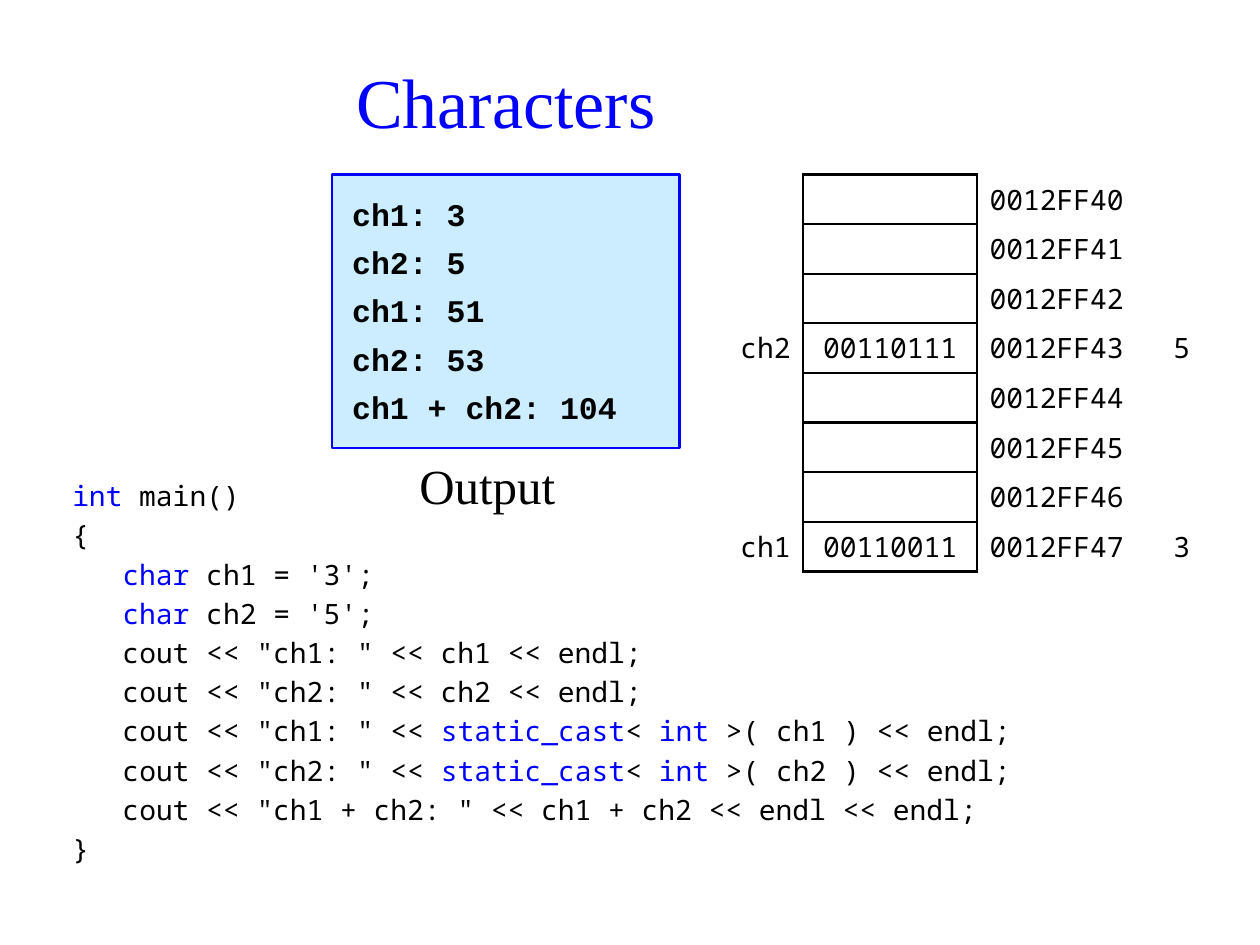
"""Build the slide on characters: program code, its output and the memory map."""
import dataclasses
import typing

import pptx
import pptx.dml.color
import pptx.enum.shapes
import pptx.enum.text
import pptx.oxml
import pptx.oxml.ns
import pptx.util

ALIGN = pptx.enum.text.PP_ALIGN
ANCHOR = pptx.enum.text.MSO_ANCHOR
Pt = pptx.util.Pt
UNIT = pptx.util.Inches(10) // 100
MARK = "`"


@dataclasses.dataclass(frozen=True)
class Theme:
    blue: str = "0000FF"
    black: str = "000000"
    white: str = "FFFFFF"
    pale: str = "CCECFF"
    serif: str = "Times New Roman"
    mono: str = "Noto Sans Mono"
    fixed: str = "Courier New"
    title: int = 40
    label: int = 28
    output: int = 18
    code: int = 16
    line: float = 1.5


@dataclasses.dataclass(frozen=True)
class Style:
    name: str
    size: int
    color: str
    bold: bool = False


@dataclasses.dataclass(frozen=True)
class Box:
    left: float
    top: float
    width: float
    height: float

    def place(self) -> list[int]:
        return [grid(part) for part in dataclasses.astuple(self)]


@dataclasses.dataclass(frozen=True)
class Block:
    box: Box
    lines: list[str]
    style: Style
    frame: dict[str, typing.Any]
    para: dict[str, typing.Any]


THEME = Theme()
CODE = Style(THEME.mono, THEME.code, THEME.black)
TITLE = Block(
    Box(26.35, 4, 27.6, 7.9), ["Characters"],
    Style(THEME.serif, THEME.title, THEME.blue),
    {"word_wrap": True, "vertical_anchor": ANCHOR.MIDDLE},
    {"alignment": ALIGN.CENTER},
)
PROGRAM = Block(
    Box(4.75, 37.5, 78.8, 33.5),
    [
        "`int` main()",
        "{",
        "   `char` ch1 = '3';",
        "   `char` ch2 = '5';",
        '   cout << "ch1: " << ch1 << endl;',
        '   cout << "ch2: " << ch2 << endl;',
        '   cout << "ch1: " << `static_cast`< `int` >( ch1 ) << endl;',
        '   cout << "ch2: " << `static_cast`< `int` >( ch2 ) << endl;',
        '   cout << "ch1 + ch2: " << ch1 + ch2 << endl << endl;',
        "}",
    ],
    CODE, {"word_wrap": True}, {"space_before": Pt(3.2)},
)
OUTPUT = Block(
    Box(26.35, 13.85, 27.6, 21.7),
    ["ch1: 3", "ch2: 5", "ch1: 51", "ch2: 53", "ch1 + ch2: 104"],
    Style(THEME.fixed, THEME.output, THEME.black, True),
    {"word_wrap": False, "vertical_anchor": ANCHOR.TOP,
     "margin_left": 1.6 * UNIT, "margin_top": 1.6 * UNIT},
    {"alignment": ALIGN.LEFT, "space_before": Pt(6)},
)
LABEL = Block(
    Box(32.3, 35.5, 15.7, 5.9), ["Output"],
    Style(THEME.serif, THEME.label, THEME.black),
    {"word_wrap": True, "vertical_anchor": ANCHOR.MIDDLE},
    {"alignment": ALIGN.LEFT},
)
MAP = Box(55.85, 13.85, 39.4, 31.5)
COLS = [7.9, 13.8, 13.8, 3.9]
ALIGNS = [ALIGN.RIGHT, ALIGN.CENTER, ALIGN.LEFT, ALIGN.RIGHT]
EDGES = ["R", "LRTB", "L", ""]
COUNT = 8
BYTES = {3: ("ch2", "00110111", "5"), 7: ("ch1", "00110011", "3")}


def grid(count: float) -> int:
    return round(count * UNIT)


def apply(target: typing.Any, values: dict[str, typing.Any]) -> None:
    for name, value in values.items():
        setattr(target, name, round(value) if name.startswith("margin") else value)


def paint(fill: typing.Any, color: str) -> None:
    fill.solid()
    fill.fore_color.rgb = pptx.dml.color.RGBColor.from_string(color)


def add_run(para: typing.Any, text: str, style: Style, color: str) -> None:
    run = para.add_run()
    run.text = text
    apply(run.font, {"name": style.name, "size": Pt(style.size), "bold": style.bold})
    run.font.color.rgb = pptx.dml.color.RGBColor.from_string(color)


def write(shape: typing.Any, block: Block) -> None:
    frame = shape.text_frame
    apply(frame, block.frame)
    for row, line in enumerate(block.lines):
        para = frame.add_paragraph() if row else frame.paragraphs[0]
        apply(para, block.para)
        if not row:
            para.space_before = Pt(0)
        for part, text in enumerate(line.split(MARK)):
            if text:
                add_run(para, text, block.style, THEME.blue if part % 2 else block.style.color)


def add_text(slide: typing.Any, block: Block) -> None:
    write(slide.shapes.add_textbox(*block.box.place()), block)


def add_panel(slide: typing.Any, block: Block) -> None:
    kind = pptx.enum.shapes.MSO_SHAPE.RECTANGLE
    panel = slide.shapes.add_shape(kind, *block.box.place())
    panel.shadow.inherit = False
    paint(panel.fill, THEME.pale)
    paint(panel.line.fill, THEME.blue)
    panel.line.width = Pt(THEME.line)
    write(panel, block)


def edge(cell: typing.Any, sides: str) -> None:
    props = cell._tc.get_or_add_tcPr()
    space = pptx.oxml.ns.nsdecls("a")
    for spot, side in enumerate("LRTB"):
        fill = f'<a:solidFill><a:srgbClr val="{THEME.black}"/></a:solidFill>'
        ink = fill if side in sides else "<a:noFill/>"
        xml = f'<a:ln{side} {space} w="{Pt(THEME.line)}">{ink}</a:ln{side}>'
        props.insert(spot, pptx.oxml.parse_xml(xml))


def add_map(slide: typing.Any) -> None:
    table = slide.shapes.add_table(COUNT, len(COLS), *MAP.place()).table
    apply(table, {"first_row": False, "horz_banding": False})
    for col, width in enumerate(COLS):
        table.columns[col].width = grid(width)
    for row in range(COUNT):
        table.rows[row].height = grid(MAP.height / COUNT)
        name, bits, value = BYTES.get(row, ("", "", ""))
        for col, text in enumerate([name, bits, f"0012FF4{row}", value]):
            cell = table.cell(row, col)
            apply(cell, {
                "vertical_anchor": ANCHOR.MIDDLE,
                "margin_left": UNIT, "margin_right": UNIT * (1 if col < 2 else 0.8),
                "margin_top": 0.4 * UNIT, "margin_bottom": 0.4 * UNIT,
            })
            if col:
                paint(cell.fill, THEME.white)
            else:
                cell.fill.background()
            edge(cell, EDGES[col])
            para = cell.text_frame.paragraphs[0]
            para.alignment = ALIGNS[col]
            para.font.size = Pt(CODE.size)
            if text:
                add_run(para, text, CODE, CODE.color)


def main() -> None:
    deck = pptx.Presentation()
    apply(deck, {"slide_width": grid(100), "slide_height": grid(75)})
    slide = deck.slides.add_slide(deck.slide_layouts[6])
    add_text(slide, TITLE)
    add_text(slide, PROGRAM)
    add_map(slide)
    add_panel(slide, OUTPUT)
    add_text(slide, LABEL)
    deck.save("out.pptx")


if __name__ == "__main__":
    main()
